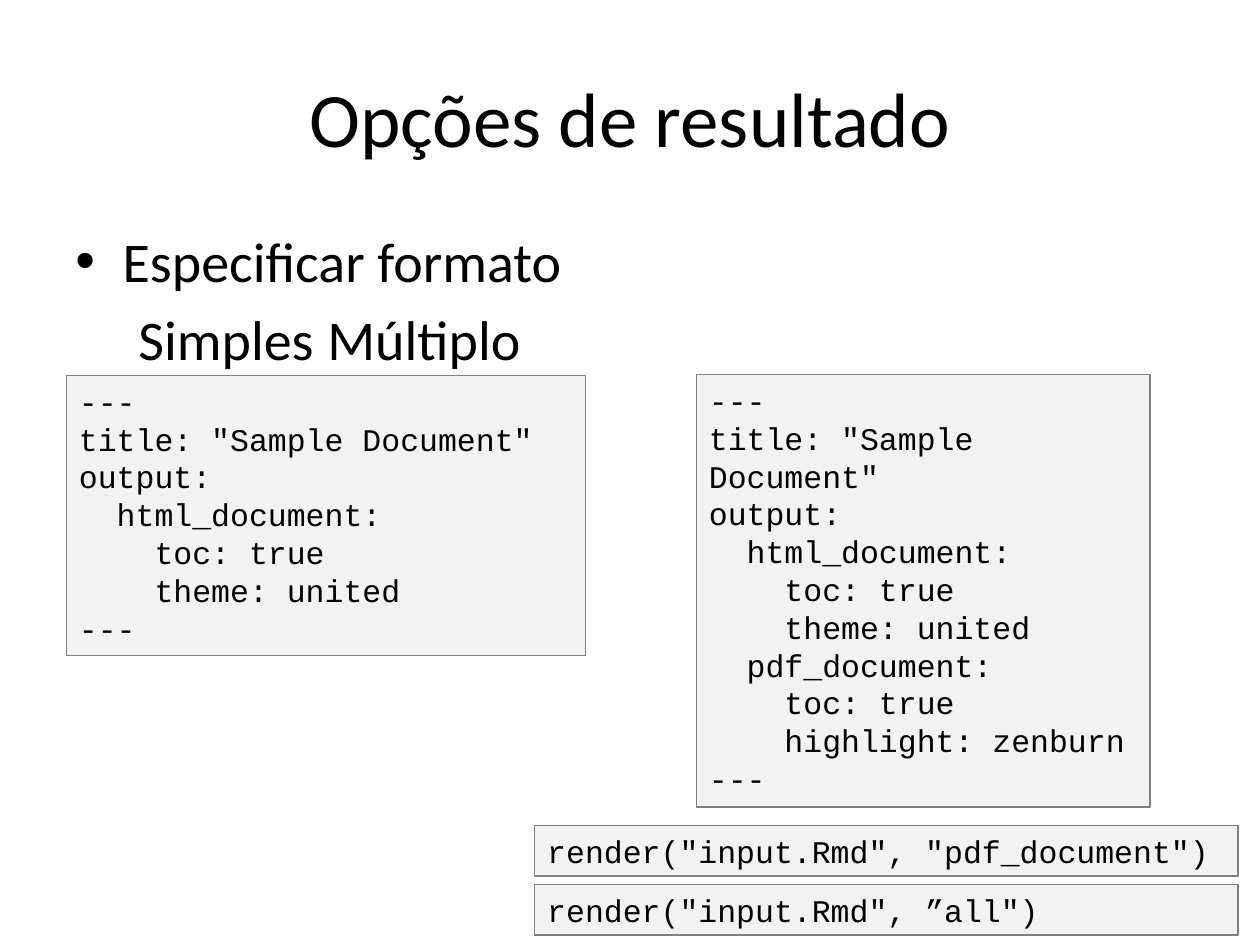
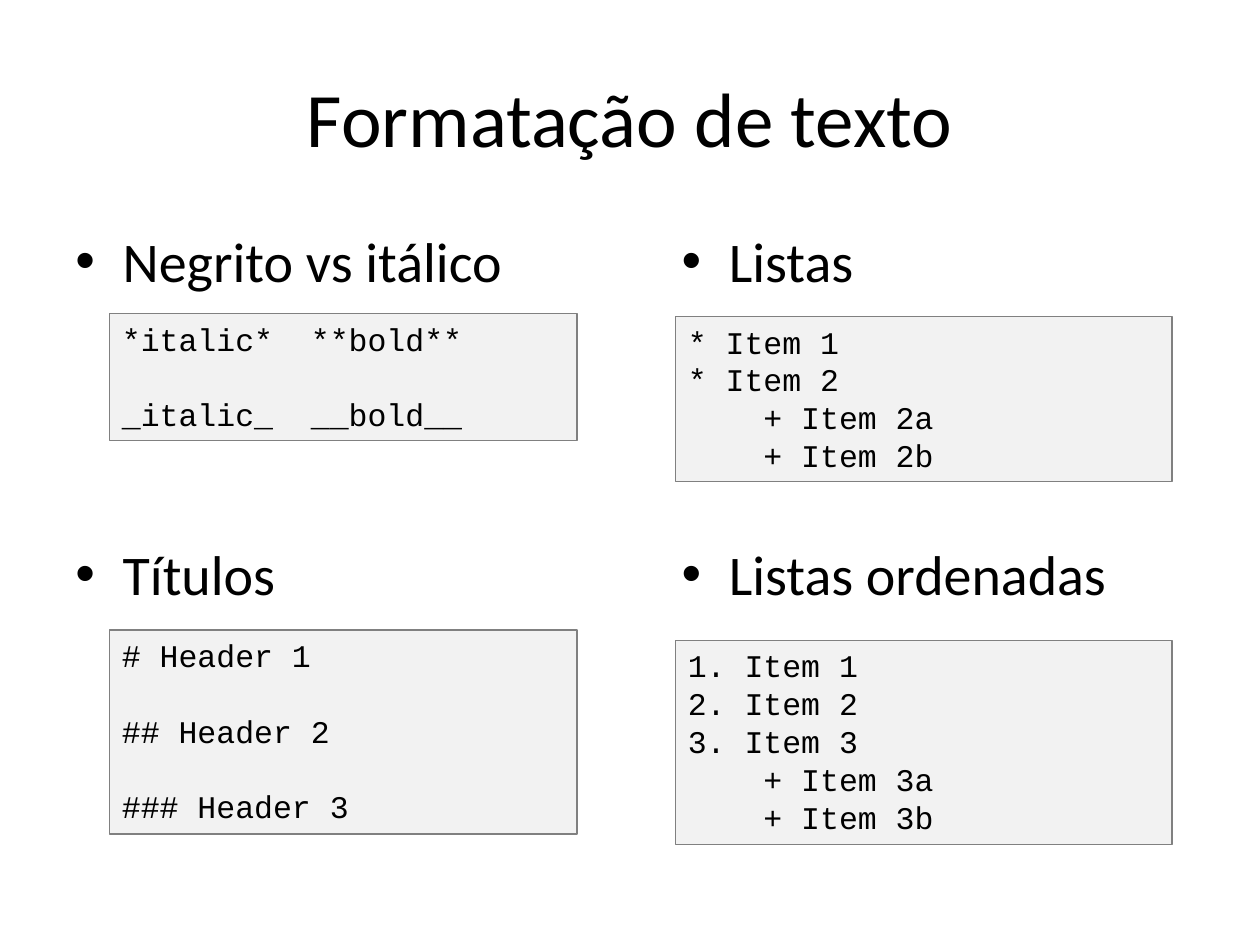
from dataclasses import dataclass

from lxml import etree
from pptx import Presentation
from pptx.dml import color as c
from pptx.enum import shapes as s, text as t
from pptx.oxml import ns
from pptx.util import Pt

HUES = {"ink": "000000", "code": "F2F2F2", "edge": "808080"}
SANS, MONO = "Calibri", "Courier New"
CHAR, LINE = 10.8, 21.6
HEAD_GAP = 6
NEXT_GAP = 140.4


@dataclass
class Line:
    text: str
    left: float = 0
    first: float = 0
    before: float = 0
    mark: str = ""
    stops: tuple[float, ...] = ()


@dataclass
class Code:
    left: float
    top: float
    width: float
    height: float
    text: str


@dataclass
class Page:
    title: str
    heads: list[tuple[float, float, list[Line]]]
    codes: list[Code]


def rgb(name: str) -> c.RGBColor:
    return c.RGBColor.from_string(HUES[name])


def write(frame, lines: list[Line], *, size: float, font: str,
          align=t.PP_ALIGN.LEFT, anchor=t.MSO_ANCHOR.TOP,
          fit=t.MSO_AUTO_SIZE.NONE) -> None:
    frame.word_wrap = True
    frame.auto_size = fit
    frame.vertical_anchor = anchor
    for i, line in enumerate(lines):
        para = frame.add_paragraph() if i else frame.paragraphs[0]
        para.alignment = align
        para.space_before = Pt(line.before)
        run = para.add_run()
        run.text = line.text
        run.font.size, run.font.name = Pt(size), font
        run.font.color.rgb = rgb("ink")
        props = para._p.get_or_add_pPr()
        props.set("marL", str(Pt(line.left)))
        props.set("indent", str(Pt(line.first)))
        if line.mark:
            etree.SubElement(props, ns.qn("a:buFont"), typeface="Arial")
            etree.SubElement(props, ns.qn("a:buChar"), char=line.mark)
        else:
            etree.SubElement(props, ns.qn("a:buNone"))
        if line.stops:
            tabs = etree.SubElement(props, ns.qn("a:tabLst"))
            for stop in line.stops:
                etree.SubElement(tabs, ns.qn("a:tab"), pos=str(Pt(stop)), algn="l")


def bullet(label: str, before: float = HEAD_GAP) -> Line:
    return Line(label, left=27, first=-27, before=before, mark="•")


def parse(code: str) -> list[Line]:
    lines, gap = [], 0
    for row in code.split("\n"):
        if not row:
            gap += LINE
            continue
        body = row.lstrip(" ")
        stops = (11 * CHAR,) if "\t" in body else ()
        lines.append(Line(body, left=(len(row) - len(body)) * CHAR,
                          before=gap, stops=stops))
        gap = 0
    return lines


def draw_code(slide, code: Code) -> None:
    box = slide.shapes.add_shape(s.MSO_SHAPE.RECTANGLE, Pt(code.left), Pt(code.top),
                                 Pt(code.width), Pt(code.height))
    box.shadow.inherit = False
    box.fill.solid()
    box.fill.fore_color.rgb = rgb("code")
    box.line.color.rgb = rgb("edge")
    box.line.width = Pt(0.75)
    write(box.text_frame, parse(code.text), size=18, font=MONO,
          fit=t.MSO_AUTO_SIZE.SHAPE_TO_FIT_TEXT)


def draw_page(deck, page: Page) -> None:
    slide = deck.slides.add_slide(deck.slide_layouts[5])
    title = slide.shapes.title
    title.left, title.top, title.width, title.height = Pt(36), Pt(21.6), Pt(648), Pt(90)
    write(title.text_frame, [Line(page.title)], size=44, font=SANS,
          align=t.PP_ALIGN.CENTER, anchor=t.MSO_ANCHOR.MIDDLE)
    for left, width, lines in page.heads:
        box = slide.shapes.add_textbox(Pt(left), Pt(126), Pt(width), Pt(356.4))
        write(box.text_frame, lines, size=32, font=SANS)
    for code in page.codes:
        draw_code(slide, code)


SIMPLE = """---
title: "Sample Document"
output:
  html_document:
    toc: true
    theme: united
"""
MULTI = SIMPLE + """  pdf_document:
    toc: true
    highlight: zenburn
"""
HEADERS = """# Header 1

## Header 2

### Header 3"""
BULLETS = """* Item 1
* Item 2
    + Item 2a
    + Item 2b"""
NUMBERS = """1. Item 1
2. Item 2
3. Item 3
    + Item 3a
    + Item 3b"""

PAGES = [
    Page("Opções de resultado",
         [(36, 648, [bullet("Especificar formato"),
                     Line("\tSimples\tMúltiplo", before=HEAD_GAP, stops=(36, 396))])],
         [Code(398, 214.2, 259.2, 247, MULTI + "---"),
          Code(38, 214.6, 296.6, 159.8, SIMPLE + "---"),
          Code(305.6, 471.6, 401.8, 29, 'render("input.Rmd", "pdf_document")'),
          Code(305.6, 505.4, 401.8, 29, 'render("input.Rmd", ”all")')]),
    Page("Formatação de texto",
         [(36, 322.6, [bullet("Negrito vs itálico"), bullet("Títulos", NEXT_GAP)]),
          (382.4, 322.6, [bullet("Listas"), bullet("Listas ordenadas", NEXT_GAP)])],
         [Code(62.6, 179.2, 267.2, 72.7, "*italic*\t**bold**\n\n_italic_\t__bold__"),
          Code(62.6, 360, 267.2, 116.6, HEADERS),
          Code(386, 180.8, 283.8, 94.4, BULLETS),
          Code(386, 365.8, 283.8, 116.6, NUMBERS)]),
]

deck = Presentation()
deck.slide_width, deck.slide_height = Pt(720), Pt(540)
for page in PAGES:
    draw_page(deck, page)
deck.save("out.pptx")
